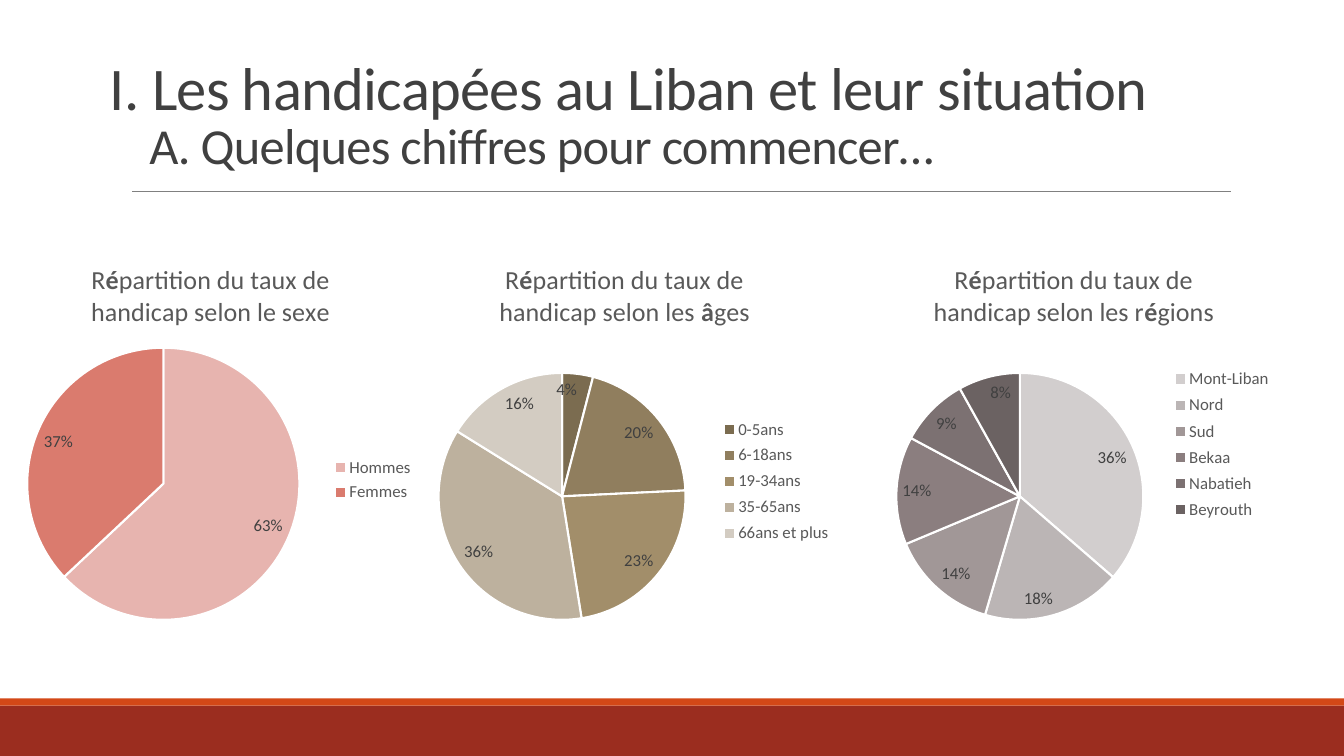
from dataclasses import dataclass

from pptx import Presentation
from pptx import util as u
from pptx.chart import data as chart_data
from pptx.dml import color
from pptx.enum import chart as ce, shapes, text
from pptx.oxml import xmlchemy

WIDTH, HEIGHT = 13.33, 7.5
CHART_TOP, CHART_HEIGHT = 2.44, 3.86
PIE_BOTTOM = 6.15
LEGEND_ROW = 0.27

# Content: each heading line is a list of (text, bold) runs
TITLE = [
    ("I. Les handicapées au Liban et leur situation", "title", 0),
    ("A. Quelques chiffres pour commencer…", "subtitle", 0.39),
]
FIRST_LINE = [("R", False), ("é", True), ("partition du taux de", False)]
# left and width of the chart, left and diameter of the pie, left and top of the legend
PIES = [
    {
        "heading": [("handicap selon le sexe", False)],
        "values": {"Hommes": 63, "Femmes": 37},
        "colors": ["E7B4AF", "DA7B6E"],
        "chart": (-0.92, 6.02), "pie": (0.27, 2.7), "legend": (3.05, 4.49),
    },
    {
        "heading": [("handicap selon les ", False), ("â", True), ("ges", False)],
        "values": {"0-5ans": 4, "6-18ans": 20, "19-34ans": 23,
                   "35-65ans": 36, "66ans et plus": 16},
        "colors": ["7B6C50", "907E5E", "A28E6A", "BDB19E", "D3CCC2"],
        "chart": (3.11, 6.17), "pie": (4.35, 2.45), "legend": (7.05, 4.1),
    },
    {
        "heading": [("handicap selon les r", False), ("é", True), ("gions", False)],
        "values": {"Mont-Liban": 36, "Nord": 18, "Sud": 14,
                   "Bekaa": 14, "Nabatieh": 9, "Beyrouth": 8},
        "colors": ["D2CECE", "BBB5B5", "A19797", "8B7E7F", "7C7172", "6B6262"],
        "chart": (7.99, 5.32), "pie": (8.89, 2.45), "legend": (11.47, 3.6),
    },
]


@dataclass(frozen=True)
class Theme:
    font: str = "Calibri"
    dark: str = "404040"
    grey: str = "595959"
    rule: str = "808080"
    band: str = "9B2D1F"
    stripe: str = "D34817"
    white: str = "FFFFFF"
    title: float = 43.2
    subtitle: float = 36
    heading: float = 18.6
    label: float = 12


THEME = Theme()


def rgb(value):
    return color.RGBColor.from_string(value)


def set_font(font, size, value, bold=False):
    font.name, font.size, font.bold = THEME.font, u.Pt(size), bold
    font.color.rgb = rgb(value)


def add_band(slide, top, height, fill):
    band = slide.shapes.add_shape(
        shapes.MSO_SHAPE.RECTANGLE, 0, u.Inches(top), u.Inches(WIDTH), u.Inches(height))
    band.shadow.inherit = False
    band.fill.solid()
    band.fill.fore_color.rgb = rgb(fill)
    band.line.fill.background()


def add_rule(slide):
    rule = slide.shapes.add_connector(
        shapes.MSO_CONNECTOR.STRAIGHT,
        u.Inches(1.31), u.Inches(1.9), u.Inches(12.21), u.Inches(1.9))
    rule.line.color.rgb = rgb(THEME.rule)
    rule.line.width = u.Pt(0.5)
    rule._element.spPr.append(xmlchemy.OxmlElement("a:effectLst"))


def fill_title(shape):
    shape.left, shape.top = u.Inches(0.99), u.Inches(0.45)
    shape.width, shape.height = u.Inches(11.55), u.Inches(1.33)
    frame = shape.text_frame
    frame.word_wrap = True
    frame.auto_size = text.MSO_AUTO_SIZE.NONE
    frame.vertical_anchor = text.MSO_ANCHOR.BOTTOM
    for index, (words, size, indent) in enumerate(TITLE):
        paragraph = frame.add_paragraph() if index else frame.paragraphs[0]
        paragraph.alignment = text.PP_ALIGN.LEFT
        paragraph.line_spacing = 0.85
        paragraph.space_before = u.Pt(0)
        paragraph._p.get_or_add_pPr().set("marL", str(u.Inches(indent)))
        run = paragraph.add_run()
        run.text = words
        set_font(run.font, getattr(THEME, size), THEME.dark)
        run._r.get_or_add_rPr().set("spc", "-50")


def manual_layout(parent, position, shares, inner=False):
    """Place a chart part by its left, top, width and height as shares."""
    for old in parent.xpath("c:layout"):
        parent.remove(old)
    layout = xmlchemy.OxmlElement("c:layout")
    manual = xmlchemy.OxmlElement("c:manualLayout")
    layout.append(manual)
    settings = [("layoutTarget", "inner")] if inner else []
    settings += [("xMode", "edge"), ("yMode", "edge")]
    settings += [(name, f"{share:.4f}") for name, share in zip("xywh", shares)]
    for name, value in settings:
        setting = xmlchemy.OxmlElement(f"c:{name}")
        setting.set("val", value)
        manual.append(setting)
    parent.insert(position, layout)


def add_pie(slide, item):
    values = item["values"]
    left, width = item["chart"]
    data = chart_data.CategoryChartData()
    data.categories = list(values)
    data.add_series("Series 1", list(values.values()))
    chart = slide.shapes.add_chart(
        ce.XL_CHART_TYPE.PIE, u.Inches(left), u.Inches(CHART_TOP),
        u.Inches(width), u.Inches(CHART_HEIGHT), data).chart
    set_font(chart.font, THEME.label, THEME.grey)

    def shares(x, y, w, h):
        return ((x - left) / width, (y - CHART_TOP) / CHART_HEIGHT,
                w / width, h / CHART_HEIGHT)

    # Heading
    chart.has_title = True
    frame = chart.chart_title.text_frame
    for index, line in enumerate([FIRST_LINE, item["heading"]]):
        paragraph = frame.add_paragraph() if index else frame.paragraphs[0]
        for words, bold in line:
            run = paragraph.add_run()
            run.text = words
            set_font(run.font, THEME.heading, THEME.grey, bold)
    chart.chart_title.include_in_layout = False

    # Slices and percentages
    plot = chart.plots[0]
    plot.vary_by_categories = True
    for index, fill in enumerate(item["colors"]):
        point = plot.series[0].points[index].format
        point.fill.solid()
        point.fill.fore_color.rgb = rgb(fill)
        point.line.color.rgb = rgb(THEME.white)
        point.line.width = u.Pt(1.5)
    plot.has_data_labels = True
    labels = plot.data_labels
    labels.show_percentage, labels.show_value = True, False
    labels.number_format, labels.number_format_is_linked = "0%", False
    labels.position = ce.XL_LABEL_POSITION.INSIDE_END
    set_font(labels.font, THEME.label, THEME.dark)
    pie_left, diameter = item["pie"]
    manual_layout(chart._chartSpace.chart.plotArea, 0,
                  shares(pie_left, PIE_BOTTOM - diameter, diameter, diameter), True)

    # Legend
    chart.has_legend = True
    legend = chart.legend
    legend.position = ce.XL_LEGEND_POSITION.RIGHT
    legend.include_in_layout = False
    set_font(legend.font, THEME.label, THEME.grey)
    legend_left, legend_top = item["legend"]
    manual_layout(legend._element, len(legend._element.xpath("c:legendPos")),
                  shares(legend_left, legend_top, 1.3, LEGEND_ROW * len(values)))


def main():
    presentation = Presentation()
    presentation.slide_width = u.Inches(WIDTH)
    presentation.slide_height = u.Inches(HEIGHT)
    slide = presentation.slides.add_slide(presentation.slide_layouts[5])
    slide.background.fill.solid()
    slide.background.fill.fore_color.rgb = rgb(THEME.white)
    add_band(slide, 7, 0.5, THEME.band)
    add_band(slide, 6.93, 0.07, THEME.stripe)
    add_rule(slide)
    fill_title(slide.shapes.title)
    for item in PIES:
        add_pie(slide, item)
    presentation.save("out.pptx")


if __name__ == "__main__":
    main()
